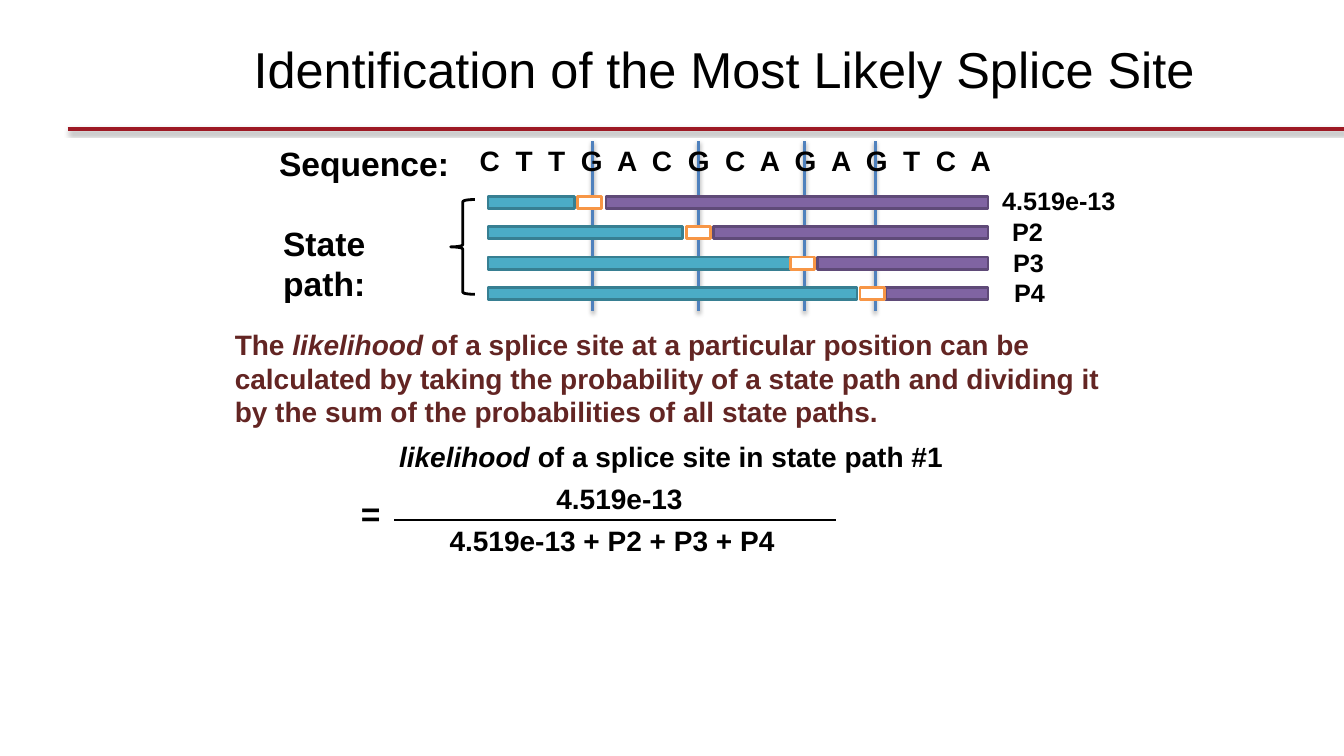
"""Build the slide on finding the most likely splice site."""
import pptx
import pptx.dml.color
import pptx.enum.shapes
import pptx.enum.text
import pptx.oxml
import pptx.oxml.ns
import pptx.util
from lxml import etree

COLUMNS, ROWS = 13.33, 7.5
CELL = pptx.util.Inches(1)
BLACK, WHITE, RED, BLUE, BROWN = "000000", "FFFFFF", "9D1924", "4F81BD", "632523"
UPSTREAM, SITE, DOWNSTREAM = ("4BACC6", "377F92"), (WHITE, "F79646"), ("8064A2", "5F4A78")
SHAPES = pptx.enum.shapes.MSO_SHAPE

SEQUENCE = "CTTGACGCAGAGTCA"
SPLICE_INDEXES = (3, 6, 9, 11)
FIRST_LETTER, LETTER_PITCH = 4.83, 0.35
FIRST_PATH, PATH_PITCH, BAR_HEIGHT = 1.95, 0.3, 0.12
PATH_START, PATH_END, SITE_WIDTH = 4.84, 9.8, 0.24
PATHS = (
    (5.70, 5.73, 6.01),
    (6.77, 6.81, 7.08),
    (7.84, 7.84, 8.11),
    (8.50, 8.53, 8.78),
)


def cells(*counts):
    """Turn counts of grid cells into lengths."""
    return [round(count * CELL) for count in counts]


def color(value):
    """Return the colour for a hex string."""
    return pptx.dml.color.RGBColor.from_string(value)


def add_text(slide, box, runs, size, text_color=BLACK, bold=True, wrap=True, grow=True):
    """Add a text box whose runs are (text, italic) pairs or one string."""
    shape = slide.shapes.add_textbox(*cells(*box))
    frame = shape.text_frame
    frame.word_wrap = wrap
    if grow:
        frame.auto_size = pptx.enum.text.MSO_AUTO_SIZE.SHAPE_TO_FIT_TEXT
    paragraph = frame.paragraphs[0]
    font = paragraph.font
    font.name, font.size, font.bold = "Arial", pptx.util.Pt(size), bold
    font.color.rgb = color(text_color)
    for text, italic in [(runs, None)] if isinstance(runs, str) else runs:
        run = paragraph.add_run()
        run.text = text
        run.font.italic = italic
    return shape


def add_shape(slide, kind, box, fill, line):
    """Add a preset shape with a two-point outline."""
    shape = slide.shapes.add_shape(kind, *cells(*box))
    shape.shadow.inherit = False
    if fill:
        shape.fill.solid()
        shape.fill.fore_color.rgb = color(fill)
    else:
        shape.fill.background()
    shape.line.color.rgb = color(line)
    shape.line.width = pptx.util.Pt(2)


def add_line(slide, ends, line_color, width, shadow=True):
    """Add a straight line, with a soft shadow below it if asked."""
    line = slide.shapes.add_connector(pptx.enum.shapes.MSO_CONNECTOR.STRAIGHT, *cells(*ends))
    line.line.color.rgb = color(line_color)
    line.line.width = pptx.util.Pt(width)
    properties = line.element.find(pptx.oxml.ns.qn("p:spPr"))
    effects = etree.SubElement(properties, pptx.oxml.ns.qn("a:effectLst"))
    if shadow:
        effects.append(pptx.oxml.parse_xml(
            f'<a:outerShdw {pptx.oxml.ns.nsdecls("a")} blurRad="40000" dist="20000" '
            'dir="5400000" rotWithShape="0"><a:srgbClr val="000000">'
            '<a:alpha val="38000"/></a:srgbClr></a:outerShdw>'))


def add_title(slide):
    """Add the heading and the rule under it."""
    add_line(slide, (0.67, 1.28, COLUMNS, 1.28), RED, 3)
    title = add_text(slide, (2.09, 0.05, 10.19, 1.25),
                     "Identification of the Most Likely Splice Site", 36, bold=False, grow=False)
    title.text_frame.vertical_anchor = pptx.enum.text.MSO_ANCHOR.MIDDLE
    title.text_frame.paragraphs[0].alignment = pptx.enum.text.PP_ALIGN.CENTER


def add_sequence(slide):
    """Add the splice lines and the widely spaced letters over them."""
    for index in reversed(SPLICE_INDEXES):
        column = FIRST_LETTER + index * LETTER_PITCH
        add_line(slide, (column, 1.4, column, 3.09), BLUE, 2)
    add_text(slide, (2.67, 1.37, 1.9, 0.5), "Sequence:", 24)
    letters = add_text(slide, (4.66, 1.37, 5.37, 0.44), " ".join(SEQUENCE), 20)
    for properties in letters.element.iter(pptx.oxml.ns.qn("a:rPr")):
        properties.set("spc", "278")


def add_paths(slide):
    """Add the four state paths with their labels and brace."""
    add_text(slide, (2.71, 2.16, 1.9, 0.5), "State path:", 24)
    add_shape(slide, SHAPES.LEFT_BRACE, (4.47, 1.98, 0.24, 0.94), None, BLACK)
    for index, (upstream_end, site, downstream) in enumerate(PATHS):
        row = FIRST_PATH + index * PATH_PITCH
        bars = (
            (PATH_START, upstream_end, UPSTREAM),
            (downstream, PATH_END, DOWNSTREAM),
            (site, site + SITE_WIDTH, SITE),
        )
        for start, end, (fill, line) in bars:
            add_shape(slide, SHAPES.RECTANGLE, (start, row, end - start, BAR_HEIGHT), fill, line)
        if index:
            box = (9.93 + index * 0.01, row - 0.15, 0.54, 0.4)
            add_text(slide, box, f"P{index + 1}", 18)
    add_text(slide, (9.84, 1.79, 1.34, 0.4), "4.519e-13", 18, wrap=False)


def add_likelihood(slide):
    """Add the explanation and the fraction for the first path."""
    add_text(slide, (2.23, 3.2, 9.05, 1.11), [
        ("The ", False),
        ("likelihood", True),
        (" of a splice site at a particular position can be calculated by taking the "
         "probability of a state path and dividing it by the sum of the probabilities "
         "of all state paths.", False),
    ], 20, BROWN)
    add_text(slide, (3.86, 4.31, 5.79, 0.44),
             [("likelihood", True), (" of a splice site in state path #1", False)], 20, wrap=False)
    add_text(slide, (3.48, 4.84, 0.4, 0.5), "=", 24, wrap=False)
    add_text(slide, (5.42, 4.73, 1.46, 0.44), "4.519e-13", 20, wrap=False)
    add_line(slide, (3.91, 5.16, 8.29, 5.16), BLACK, 1, shadow=False)
    add_text(slide, (4.36, 5.14, 3.52, 0.44), "4.519e-13 + P2 + P3 + P4", 20, wrap=False)


def main():
    """Build and save the presentation."""
    presentation = pptx.Presentation()
    presentation.slide_width, presentation.slide_height = cells(COLUMNS, ROWS)
    slide = presentation.slides.add_slide(presentation.slide_layouts[6])
    add_title(slide)
    add_sequence(slide)
    add_paths(slide)
    add_likelihood(slide)
    presentation.save("out.pptx")


if __name__ == "__main__":
    main()
